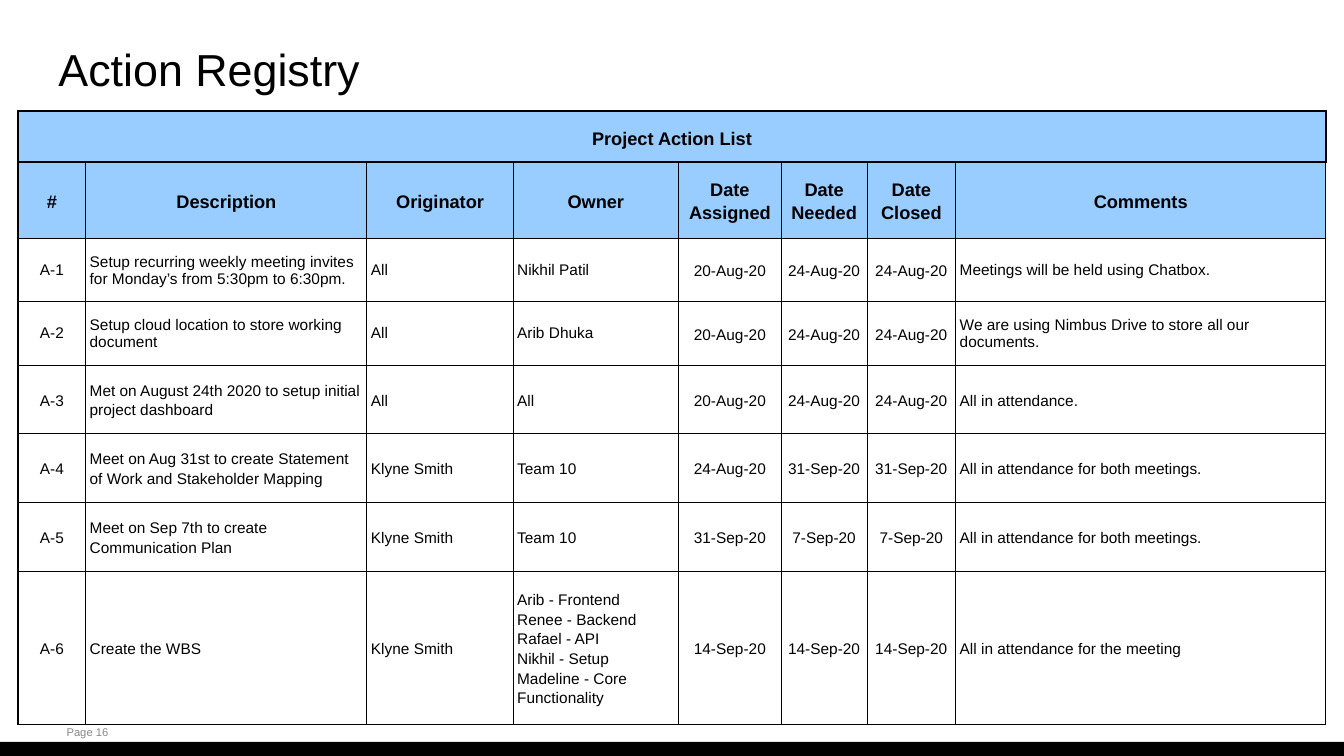
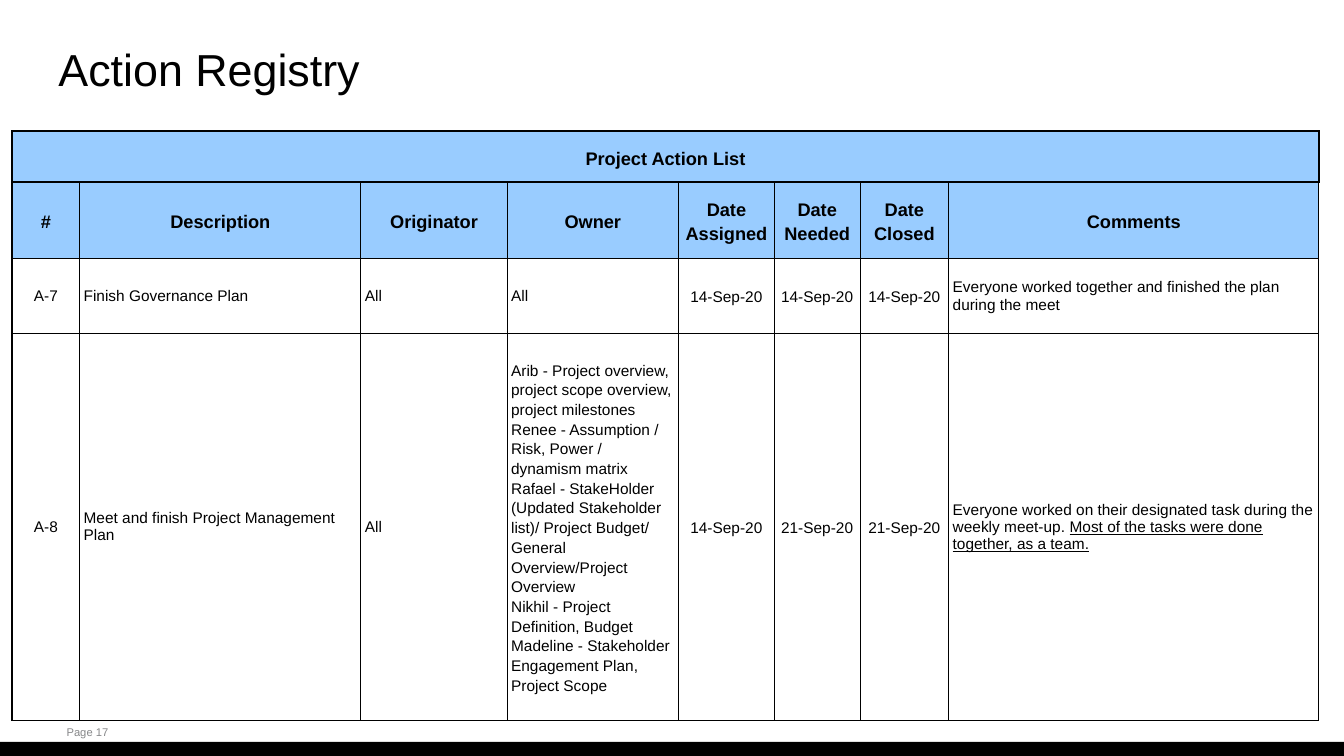
from dataclasses import dataclass
from typing import NamedTuple

from lxml.etree import SubElement
from pptx import Presentation
from pptx.dml.color import RGBColor
from pptx.enum.shapes import MSO_SHAPE as Preset
from pptx.enum.text import MSO_ANCHOR as Anchor, PP_ALIGN as Align
from pptx.oxml.ns import qn
from pptx.util import Inches, Length, Pt


@dataclass(frozen=True)
class Theme:
    font: str = "Arial"
    black: str = "000000"
    white: str = "FFFFFF"
    gray: str = "87888A"
    header_blue: str = "99CCFF"
    title_size: float = 32
    header_size: float = 13
    body_size: float = 11
    footer_size: float = 8
    title_spacing: float = 0.9
    loose_spacing: float = 1.15
    thin_line: float = 0.75
    thick_line: float = 1.5


class Box(NamedTuple):
    left: float
    top: float
    width: float
    height: float

    def lengths(self) -> list[Length]:
        return [Inches(value) for value in self]


class Action(NamedTuple):
    number: str
    description: str
    originator: str
    owner: str
    assigned: str
    needed: str
    closed: str
    comments: str
    underlined: str = ""
    spacing: float = 1.0


@dataclass(frozen=True)
class RegistryPage:
    page_number: int
    left: float
    top: float
    column_widths: list[float]
    row_heights: list[float]
    actions: list[Action]


THEME = Theme()
LOOSE = THEME.loose_spacing
SLIDE_WIDTH, SLIDE_HEIGHT = 13.33, 7.5
TITLE_BOX = Box(0.45, 0.26, 12.42, 0.91)
FOOTER_BOX = Box(0.58, 7.14, 10.79, 0.24)
BAND_BOX = Box(0, 7.36, SLIDE_WIDTH, 0.14)
HEADINGS = ["#", "Description", "Originator", "Owner", "Date Assigned",
            "Date Needed", "Date Closed", "Comments"]
OWNER_COLUMN = 3
DATE_COLUMNS = range(4, 7)
CENTERED_COLUMNS = {0, *DATE_COLUMNS}

PAGES = [
    RegistryPage(
        16, 0.18, 1.1,
        [0.67, 2.79, 1.45, 1.64, 1.02, 0.85, 0.88, 3.67],
        [0.5, 0.73, 0.6, 0.6, 0.66, 0.66, 0.66, 1.44],
        [
            Action("A-1", "Setup recurring weekly meeting invites for Monday’s from 5:30pm to 6:30pm.",
                   "All", "Nikhil Patil", "20-Aug-20", "24-Aug-20", "24-Aug-20",
                   "Meetings will be held using Chatbox."),
            Action("A-2", "Setup cloud location to store working document",
                   "All", "Arib Dhuka", "20-Aug-20", "24-Aug-20", "24-Aug-20",
                   "We are using Nimbus Drive to store all our documents."),
            Action("A-3", "Met on August 24th 2020 to setup initial project dashboard",
                   "All", "All", "20-Aug-20", "24-Aug-20", "24-Aug-20",
                   "All in attendance.", spacing=LOOSE),
            Action("A-4", "Meet on Aug 31st to create Statement of Work and Stakeholder Mapping",
                   "Klyne Smith", "Team 10", "24-Aug-20", "31-Sep-20", "31-Sep-20",
                   "All in attendance for both meetings.", spacing=LOOSE),
            Action("A-5", "Meet on Sep 7th to create Communication Plan",
                   "Klyne Smith", "Team 10", "31-Sep-20", "7-Sep-20", "7-Sep-20",
                   "All in attendance for both meetings.", spacing=LOOSE),
            Action("A-6", "Create the WBS", "Klyne Smith",
                   "Arib - Frontend\nRenee - Backend\nRafael - API\nNikhil - Setup\n"
                   "Madeline - Core Functionality",
                   "14-Sep-20", "14-Sep-20", "14-Sep-20",
                   "All in attendance for the meeting", spacing=LOOSE),
        ],
    ),
    RegistryPage(
        17, 0.12, 1.3,
        [0.67, 2.79, 1.45, 1.7, 0.95, 0.85, 0.88, 3.67],
        [0.5, 0.73, 0.74, 3.58],
        [
            Action("A-7", "Finish Governance Plan", "All", "All",
                   "14-Sep-20", "14-Sep-20", "14-Sep-20",
                   "Everyone worked together and finished the plan during the meet"),
            Action("A-8", "Meet and finish Project Management Plan", "All",
                   "Arib - Project overview, project scope overview, project milestones\n"
                   "Renee - Assumption / Risk, Power / dynamism matrix\n"
                   "Rafael - StakeHolder (Updated Stakeholder list)/ Project Budget/ "
                   "General Overview/Project Overview\n"
                   "Nikhil - Project Definition, Budget\n"
                   "Madeline - Stakeholder Engagement Plan, Project Scope",
                   "14-Sep-20", "21-Sep-20", "21-Sep-20",
                   "Everyone worked on their designated task during the weekly meet-up. ",
                   "Most of the tasks were done together, as a team."),
        ],
    ),
]


def format_text(text_frame, size: float, color: str = THEME.black, bold: bool = False,
                align: Align = Align.LEFT, spacing: float = 1.0) -> None:
    for paragraph in text_frame.paragraphs:
        paragraph.alignment = align
        paragraph.line_spacing = spacing
        for run in paragraph.runs:
            run.font.name = THEME.font
            run.font.size = Pt(size)
            run.font.bold = bold
            run.font.color.rgb = RGBColor.from_string(color)


def add_text(slide, box: Box, text: str, size: float, color: str,
             inset_x: float, inset_y: float, spacing: float = 1.0) -> None:
    text_frame = slide.shapes.add_textbox(*box.lengths()).text_frame
    text_frame.word_wrap = True
    text_frame.vertical_anchor = Anchor.MIDDLE
    text_frame.margin_left = text_frame.margin_right = Inches(inset_x)
    text_frame.margin_top = text_frame.margin_bottom = Inches(inset_y)
    text_frame.text = text
    format_text(text_frame, size, color, spacing=spacing)


def add_frame(slide, page_number: int) -> None:
    """Draw what every slide shares: page number, bottom band and title."""
    add_text(slide, FOOTER_BOX, f"Page {page_number}", THEME.footer_size, THEME.gray, 0.08, 0.05)
    band = slide.shapes.add_shape(Preset.RECTANGLE, *BAND_BOX.lengths())
    band.shadow.inherit = False
    band.fill.solid()
    band.fill.fore_color.rgb = RGBColor.from_string(THEME.black)
    band.line.fill.background()
    add_text(slide, TITLE_BOX, "Action Registry", THEME.title_size, THEME.black,
             0.13, 0.13, THEME.title_spacing)


def style_cell(cell, fill: str, left: float = THEME.thin_line, right: float = THEME.thin_line,
               top: float = THEME.thin_line, bottom: float = THEME.thin_line) -> None:
    """Set margins, border widths in points, and fill."""
    cell.margin_left = cell.margin_right = Inches(0.04)
    cell.margin_top = cell.margin_bottom = Inches(0.13)
    cell.vertical_anchor = Anchor.MIDDLE
    properties = cell._tc.get_or_add_tcPr()
    for side, width in zip("LRTB", (left, right, top, bottom)):
        line = SubElement(properties, qn(f"a:ln{side}"), w=str(Pt(width)))
        line_fill = SubElement(line, qn("a:solidFill"))
        SubElement(line_fill, qn("a:srgbClr"), val=THEME.black)
    cell.fill.solid()
    cell.fill.fore_color.rgb = RGBColor.from_string(fill)


def fill_header(table) -> None:
    thick = THEME.thick_line
    for column, heading in enumerate(HEADINGS):
        style_cell(table.cell(0, column), THEME.header_blue, thick, thick, thick, thick)
        heading_cell = table.cell(1, column)
        heading_cell.text_frame.text = heading
        style_cell(heading_cell, THEME.header_blue, top=thick,
                   left=THEME.thin_line if column else thick)
        format_text(heading_cell.text_frame, THEME.header_size, bold=True,
                    align=Align.CENTER, spacing=LOOSE)
    banner = table.cell(0, 0)
    banner.merge(table.cell(0, len(HEADINGS) - 1))
    banner.text_frame.text = "Project Action List"
    banner.vertical_anchor = Anchor.BOTTOM
    format_text(banner.text_frame, THEME.header_size, bold=True,
                align=Align.CENTER, spacing=LOOSE)


def fill_action(table, row: int, action: Action) -> None:
    for column, text in enumerate(action[:len(HEADINGS)]):
        cell = table.cell(row, column)
        text_frame = cell.text_frame
        text_frame.text = text
        style_cell(cell, THEME.white, left=THEME.thin_line if column else THEME.thick_line)
        is_owner_list = column == OWNER_COLUMN and "\n" in text
        loose = column in DATE_COLUMNS or is_owner_list
        if column == len(HEADINGS) - 1 and action.underlined:
            run = text_frame.paragraphs[0].add_run()
            run.text = action.underlined
            run.font.underline = True
        format_text(text_frame, THEME.body_size,
                    align=Align.CENTER if column in CENTERED_COLUMNS else Align.LEFT,
                    spacing=LOOSE if loose else action.spacing)


def add_registry(slide, page: RegistryPage) -> None:
    box = Box(page.left, page.top, sum(page.column_widths), sum(page.row_heights))
    table = slide.shapes.add_table(len(page.row_heights), len(HEADINGS), *box.lengths()).table
    table.first_row = table.horz_banding = False
    for column, width in zip(table.columns, page.column_widths):
        column.width = Inches(width)
    for row, height in zip(table.rows, page.row_heights):
        row.height = Inches(height)
    fill_header(table)
    for row_index, action in enumerate(page.actions, start=2):
        fill_action(table, row_index, action)


def main() -> None:
    presentation = Presentation()
    presentation.slide_width = Inches(SLIDE_WIDTH)
    presentation.slide_height = Inches(SLIDE_HEIGHT)
    blank_layout = presentation.slide_layouts[6]
    for page in PAGES:
        slide = presentation.slides.add_slide(blank_layout)
        add_frame(slide, page.page_number)
        add_registry(slide, page)
    presentation.save("out.pptx")


if __name__ == "__main__":
    main()
